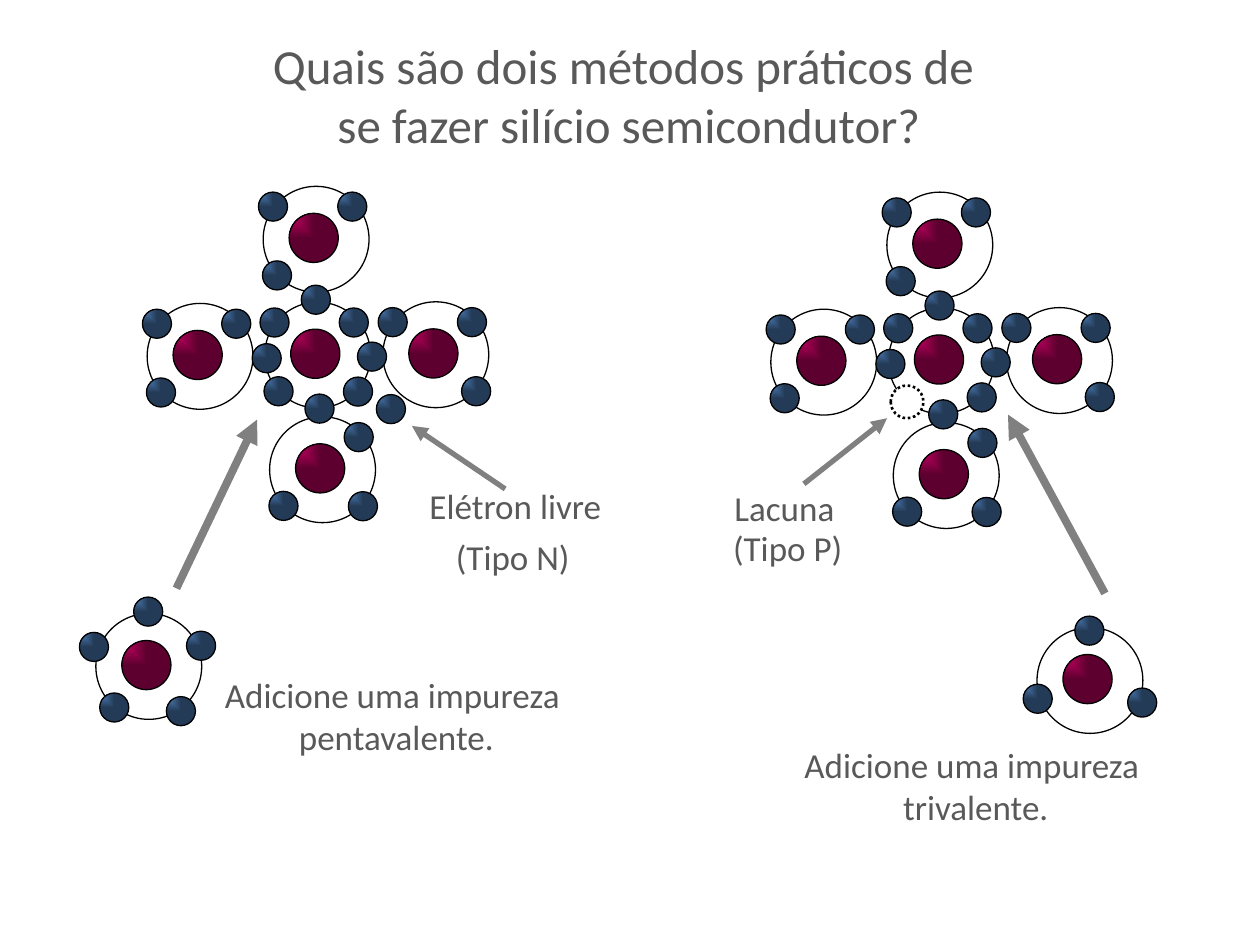
from lxml import etree
from pptx import Presentation
from pptx.dml.color import RGBColor
from pptx.enum import dml, shapes, text
from pptx.oxml import ns
from pptx.util import Pt

BLACK = RGBColor(0x00, 0x00, 0x00)
WHITE = RGBColor(0xFF, 0xFF, 0xFF)
TEXT_GRAY = RGBColor(0x59, 0x59, 0x59)
ARROW_GRAY = RGBColor(0x80, 0x80, 0x80)
ELECTRON_COLORS = (RGBColor(0x4F, 0x81, 0xBD), RGBColor(0x24, 0x3B, 0x57))
NUCLEUS_COLORS = (RGBColor(0xCC, 0x00, 0x66), RGBColor(0x5E, 0x00, 0x2F))

ORBIT, NUCLEUS, ELECTRON, HOLE = 60.5, 28.1, 16.6, 18.7
NUCLEUS_OFFSET = (14.8, 15.4)

# Electron offsets from the top left of the orbit
UL, UR, LL, LR = (-2.7, 3.3), (42.6, 3.3), (-0.4, 42.6), (45, 42.8)
TRIVALENT = [(-7.9, 32.4), (21.6, -6.5), (51.8, 34.6)]
PENTAVALENT = [(-9.4, 10.8), (2.2, 45.4), (51.8, 10.1), (40.3, 47.5), (21.6, -9.4)]

# Outer silicon atoms: offset from the central orbit, electrons
NEIGHBORS = [
    ((67.5, -0.2), [UL, UR, LR, (-14.5, 23)]),
    ((-67.2, 0.7), [UL, UR, LL, (60, 23)]),
    ((2.8, 65.5), [UR, LL, LR, (20.2, -13)]),
    ((-0.9, -66.2), [UL, UR, LL, (21.8, 56.5)]),
]


def add_circle(canvas, left, top, size, width=0.75):
    circle = canvas.add_shape(shapes.MSO_SHAPE.OVAL, Pt(left), Pt(top), Pt(size), Pt(size))
    circle.shadow.inherit = False
    circle.fill.background()
    circle.line.color.rgb = BLACK
    circle.line.width = Pt(width)
    return circle


def add_ball(canvas, left, top, size, colors):
    """Add a circle shaded outward from its top left corner."""
    fill = add_circle(canvas, left, top, size).fill
    fill.gradient()
    for stop, color in zip(fill.gradient_stops, colors):
        stop.color.rgb = color
    linear = fill._xPr.find(".//" + ns.qn("a:lin"))
    shade = etree.Element(ns.qn("a:path"), {"path": "rect"})
    etree.SubElement(shade, ns.qn("a:fillToRect"), {"r": "100000", "b": "100000"})
    linear.getparent().replace(linear, shade)


def add_atom(canvas, left, top, electrons):
    dx, dy = NUCLEUS_OFFSET
    add_ball(canvas, left + dx, top + dy, NUCLEUS, NUCLEUS_COLORS)
    add_circle(canvas, left, top, ORBIT)
    for dx, dy in electrons:
        add_ball(canvas, left + dx, top + dy, ELECTRON, ELECTRON_COLORS)


def add_crystal(canvas, left, top, center_electrons):
    add_atom(canvas, left, top, center_electrons)
    for (dx, dy), electrons in NEIGHBORS:
        add_atom(canvas, left + dx, top + dy, electrons)


def add_hole(canvas, left, top):
    hole = add_circle(canvas, left, top, HOLE, width=1.5)
    hole.fill.solid()
    hole.fill.fore_color.rgb = WHITE
    hole.line.dash_style = dml.MSO_LINE.ROUND_DOT


def add_text(canvas, lines, left, top, width, height, size=20, align=text.PP_ALIGN.LEFT):
    frame = canvas.add_textbox(Pt(left), Pt(top), Pt(width), Pt(height)).text_frame
    frame.word_wrap = False
    frame.auto_size = text.MSO_AUTO_SIZE.SHAPE_TO_FIT_TEXT
    for number, line in enumerate(lines):
        para = frame.add_paragraph() if number else frame.paragraphs[0]
        para.alignment = align
        span = para.add_run()
        span.text = line
        span.font.name = "Calibri"
        span.font.size = Pt(size)
        span.font.color.rgb = TEXT_GRAY


def add_arrow(canvas, start, end, width):
    points = [Pt(value) for value in (*start, *end)]
    arrow = canvas.add_connector(shapes.MSO_CONNECTOR.STRAIGHT, *points)
    arrow.line.color.rgb = ARROW_GRAY
    arrow.line.width = Pt(width)
    outline = arrow.line._get_or_add_ln()
    etree.SubElement(outline, ns.qn("a:tailEnd"), {"type": "triangle"})
    etree.SubElement(arrow._element.spPr, ns.qn("a:effectLst"))


def main():
    deck = Presentation()
    deck.slide_width, deck.slide_height = Pt(720), Pt(540)
    page = deck.slides.add_slide(deck.slide_layouts[6])
    canvas = page.shapes
    center = text.PP_ALIGN.CENTER

    add_text(canvas, ["Quais são dois métodos práticos de ", "se fazer silício semicondutor?"],
             146.2, 16.6, 426.2, 74.9, size=28, align=center)

    # Type N
    add_crystal(canvas, 151.3, 172.7, [UL, UR, LL, LR])
    add_ball(canvas, 215.1, 225.5, ELECTRON, ELECTRON_COLORS)
    add_atom(canvas.add_group_shape().shapes, 54.8, 350.6, PENTAVALENT)
    add_text(canvas, ["Elétron livre"], 238.3, 273.6, 113.8, 31.7)
    add_text(canvas, ["(Tipo N)"], 253.4, 302.4, 79.9, 31.7)
    add_text(canvas, ["Adicione uma impureza", " pentavalente."],
             120.2, 381.6, 208.1, 55.4, align=center)
    add_arrow(canvas, (288.7, 279.4), (235.4, 243.4), 3)
    add_arrow(canvas, (100.8, 336.2), (146.9, 239.8), 4.5)

    # Type P
    add_crystal(canvas, 507.7, 176, [UL, UR, LR])
    add_hole(canvas, 509, 220.3)
    add_atom(canvas.add_group_shape().shapes, 592.6, 358.6, TRIVALENT)
    add_text(canvas, ["Lacuna"], 412.6, 274.3, 72, 31.7)
    add_text(canvas, ["(Tipo P)"], 411.8, 297.4, 77.8, 31.7)
    add_text(canvas, ["Adicione uma impureza ", "trivalente."],
             451.4, 421.2, 212.4, 79.9, align=center)
    add_arrow(canvas, (459.4, 276.5), (506.9, 239), 3)
    add_arrow(canvas, (631.4, 339.1), (576, 236.9), 4.5)

    deck.save("out.pptx")


if __name__ == "__main__":
    main()
